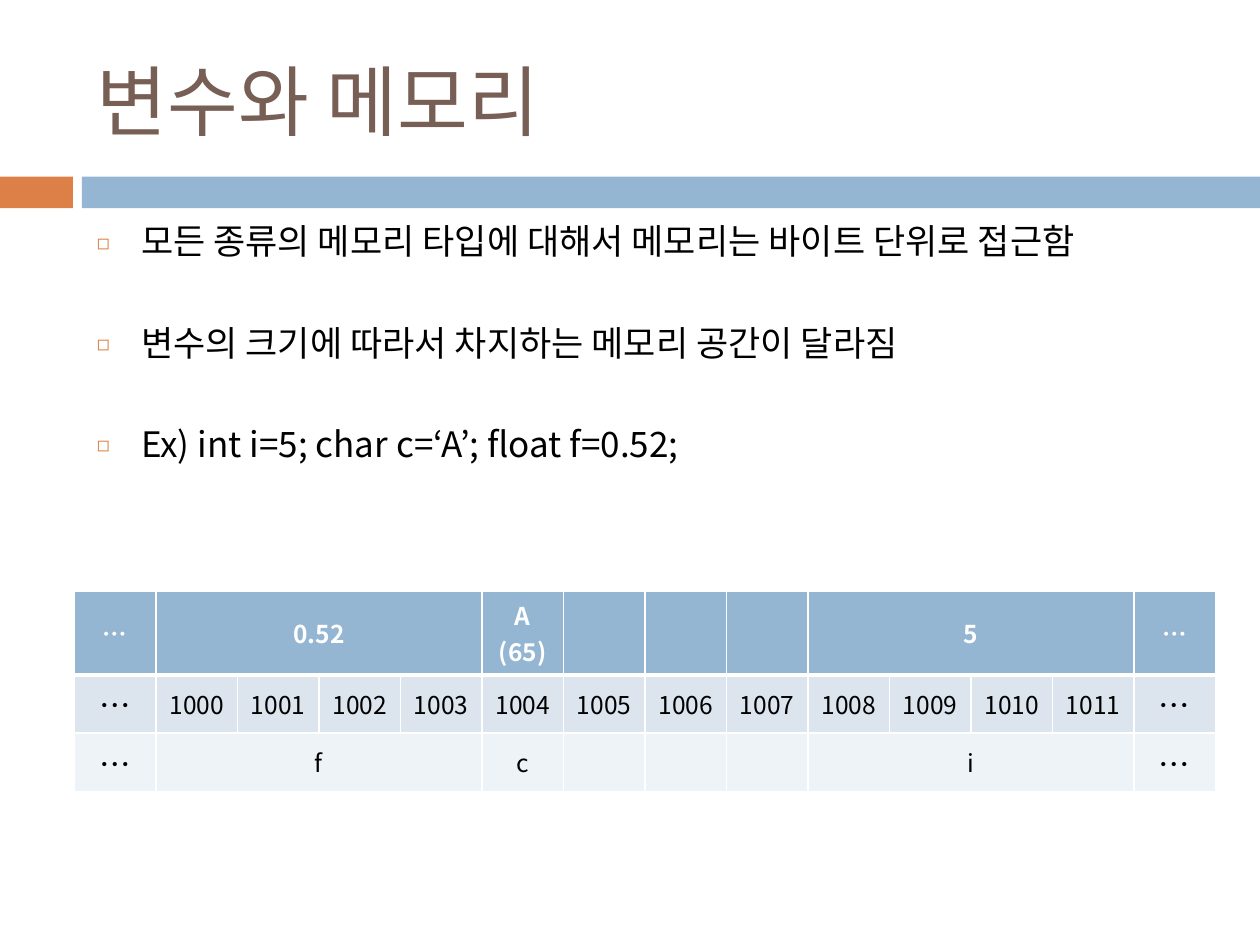
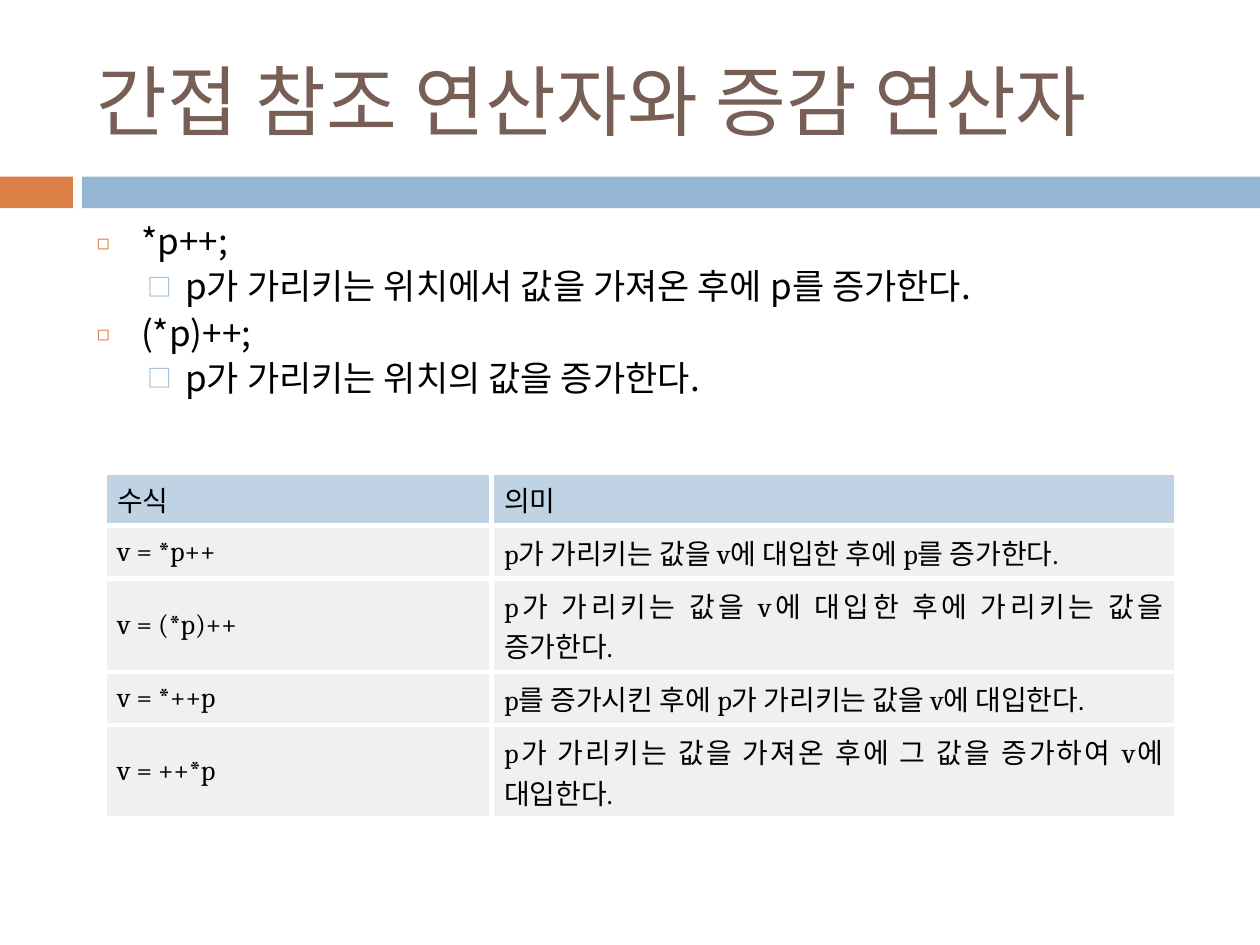
import pptx
import pptx.util
import pptx.dml.color
import pptx.enum.shapes
import pptx.enum.text
import pptx.oxml
import pptx.oxml.ns

Cm = pptx.util.Cm
ALIGN = pptx.enum.text.PP_ALIGN
MIDDLE = pptx.enum.text.MSO_ANCHOR.MIDDLE

# Content: bullets are (level, text); memory cells are (text, columns spanned)
MEMORY_TITLE = "변수와 메모리"
MEMORY_BULLETS = [
    (0, "모든 종류의 메모리 타입에 대해서 메모리는 바이트 단위로 접근함"),
    (0, "변수의 크기에 따라서 차지하는 메모리 공간이 달라짐"),
    (0, "Ex) int i=5; char c=‘A’; float f=0.52;"),
]
EMPTY_BYTES = [("", 1)] * 3
MEMORY_ROWS = [
    [("…", 1), ("0.52", 4), ("A (65)", 1), *EMPTY_BYTES, ("5", 4), ("…", 1)],
    [("…", 1), *((str(address), 1) for address in range(1000, 1012)), ("…", 1)],
    [("…", 1), ("f", 4), ("c", 1), *EMPTY_BYTES, ("i", 4), ("…", 1)],
]
OPERATOR_TITLE = "간접 참조 연산자와 증감 연산자"
OPERATOR_BULLETS = [
    (0, "*p++;"),
    (1, "p가 가리키는 위치에서 값을 가져온 후에 p를 증가한다."),
    (0, "(*p)++;"),
    (1, "p가 가리키는 위치의 값을 증가한다."),
]
OPERATOR_ROWS = [
    ("수식", "의미"),
    ("v = *p++", "p가 가리키는 값을 v에 대입한 후에 p를 증가한다."),
    ("v = (*p)++", "p가 가리키는 값을 v에 대입한 후에 가리키는 값을 증가한다."),
    ("v = *++p", "p를 증가시킨 후에 p가 가리키는 값을 v에 대입한다."),
    ("v = ++*p", "p가 가리키는 값을 가져온 후에 그 값을 증가하여 v에 대입한다."),
]

# Shared style
KOREAN_FONT = "Noto Sans CJK KR"
ORANGE, BLUE, BROWN = "DD8047", "94B6D2", "775F55"
BLACK, WHITE = "000000", "FFFFFF"
MEMORY_FILLS = [BLUE, "DCE5EE", "EEF3F7"]
OPERATOR_HEADER, OPERATOR_FILL = "BFD3E4", "F0F0F0"
BANDS = [(0, 1.47, ORANGE), (1.65, 23.75, BLUE)]  # left, width, colour
BULLET_LEVELS = [
    dict(mark="◻", color=ORANGE, percent=60, left=0.89, hang=0.89, before=7),
    dict(mark="□", color=BLUE, percent=70, left=1.78, hang=0.76, before=5.5),
]
BODY_LINE_SPACING = 0.83
BODY_LINE_POINTS = 24


def rgb(value):
    return pptx.dml.color.RGBColor.from_string(value)


def add_xml(parent, tag, **attributes):
    child = pptx.oxml.ns.qn(tag)
    element = parent.makeelement(child, {key: str(value) for key, value in attributes.items()})
    parent.append(element)
    return element


def write_text(paragraph, text, size=20, font=KOREAN_FONT, color=BLACK, bold=False, align=ALIGN.LEFT):
    paragraph.alignment = align
    run = paragraph.add_run()
    run.text = text
    run.font.size = pptx.util.Pt(size)
    run.font.bold = bold
    run.font.color.rgb = rgb(color)
    run.font.name = font
    add_xml(run.font._element, "a:ea", typeface=KOREAN_FONT)


def place(shape, left, top, width, height):
    shape.left, shape.top, shape.width, shape.height = Cm(left), Cm(top), Cm(width), Cm(height)


def write_bullet(paragraph, level, text, extra_gap):
    style = BULLET_LEVELS[level]
    paragraph.level = level
    write_text(paragraph, text)
    paragraph.line_spacing = BODY_LINE_SPACING
    paragraph.space_before = pptx.util.Pt(style["before"] + extra_gap)
    properties = paragraph._p.get_or_add_pPr()
    properties.set("marL", str(Cm(style["left"])))
    properties.set("indent", str(-Cm(style["hang"])))
    add_xml(add_xml(properties, "a:buClr"), "a:srgbClr", val=style["color"])
    add_xml(properties, "a:buSzPct", val=style["percent"] * 1000)
    add_xml(properties, "a:buFont", typeface=KOREAN_FONT)
    add_xml(properties, "a:buChar", char=style["mark"])


def add_content_slide(presentation, title, bullets, extra_gap=0):
    slide = presentation.slides.add_slide(presentation.slide_layouts[1])
    # Bands under the title
    for left, width, color in BANDS:
        band = slide.shapes.add_shape(
            pptx.enum.shapes.MSO_SHAPE.RECTANGLE, Cm(left), Cm(3.56), Cm(width), Cm(0.64))
        band.shadow.inherit = False
        band.fill.solid()
        band.fill.fore_color.rgb = rgb(color)
        band.line.fill.background()
    # Title and bullet list
    place(slide.shapes.title, 1.7, 0.64, 22.66, 2.74)
    title_frame = slide.shapes.title.text_frame
    title_frame.vertical_anchor = MIDDLE
    write_text(title_frame.paragraphs[0], title, size=44, font="Calibri", color=BROWN)
    body = slide.placeholders[1]
    place(body, 1.7, 4.45, 22.66, 12.5)
    frame = body.text_frame
    frame.auto_size = pptx.enum.text.MSO_AUTO_SIZE.NONE
    for index, (level, text) in enumerate(bullets):
        paragraph = frame.add_paragraph() if index else frame.paragraphs[0]
        write_bullet(paragraph, level, text, extra_gap if index else 0)
    return slide


def add_plain_table(slide, left, top, widths, heights):
    table = slide.shapes.add_table(
        len(heights), len(widths), Cm(left), Cm(top), Cm(sum(widths)), Cm(sum(heights))).table
    for column, width in zip(table.columns, widths):
        column.width = Cm(width)
    for row, height in zip(table.rows, heights):
        row.height = Cm(height)
    return table


def format_cell(cell, fill, top=1, bottom=1, side=1):
    properties = cell._tc.get_or_add_tcPr()
    for edge, points in (("L", side), ("R", side), ("T", top), ("B", bottom)):
        line = add_xml(properties, f"a:ln{edge}", w=pptx.util.Pt(points))
        add_xml(add_xml(line, "a:solidFill"), "a:srgbClr", val=WHITE)
    cell.fill.solid()
    cell.fill.fore_color.rgb = rgb(fill)
    cell.vertical_anchor = MIDDLE


def add_memory_table(slide):
    table = add_plain_table(slide, 1.5, 11.91, [23.01 / 14] * 14, [1.17, 0.89, 1.04])
    for row, (entries, fill) in enumerate(zip(MEMORY_ROWS, MEMORY_FILLS)):
        header = row == 0
        column = 0
        for text, span in entries:
            for offset in range(span):
                format_cell(table.cell(row, column + offset), fill,
                            top=3 if row == 1 else 1, bottom=3 if header else 1)
            cell = table.cell(row, column)
            if span > 1:
                cell.merge(table.cell(row, column + span - 1))
            if text:
                write_text(cell.text_frame.paragraphs[0], text,
                           size=18 if text == "…" and not header else 14,
                           color=WHITE if header else BLACK, bold=header, align=ALIGN.CENTER)
            column += span


def add_operator_table(slide):
    table = add_plain_table(slide, 2.11, 9.53, [7.8, 13.8], [0.94, 0.94, 1.6, 0.94, 1.6])
    for row, texts in enumerate(OPERATOR_ROWS):
        for column, text in enumerate(texts):
            cell = table.cell(row, column)
            format_cell(cell, OPERATOR_FILL if row else OPERATOR_HEADER, top=3, bottom=3, side=3)
            write_text(cell.text_frame.paragraphs[0], text, size=16, font="Cambria",
                       align=ALIGN.JUSTIFY)


def main():
    presentation = pptx.Presentation()
    presentation.slide_width, presentation.slide_height = Cm(25.4), Cm(19.05)
    # Variables in memory: bullets stand one line apart
    gap = BODY_LINE_POINTS + BULLET_LEVELS[0]["before"]
    add_memory_table(add_content_slide(presentation, MEMORY_TITLE, MEMORY_BULLETS, extra_gap=gap))
    # Dereference and increment operators
    add_operator_table(add_content_slide(presentation, OPERATOR_TITLE, OPERATOR_BULLETS))
    presentation.save("out.pptx")


if __name__ == "__main__":
    main()
